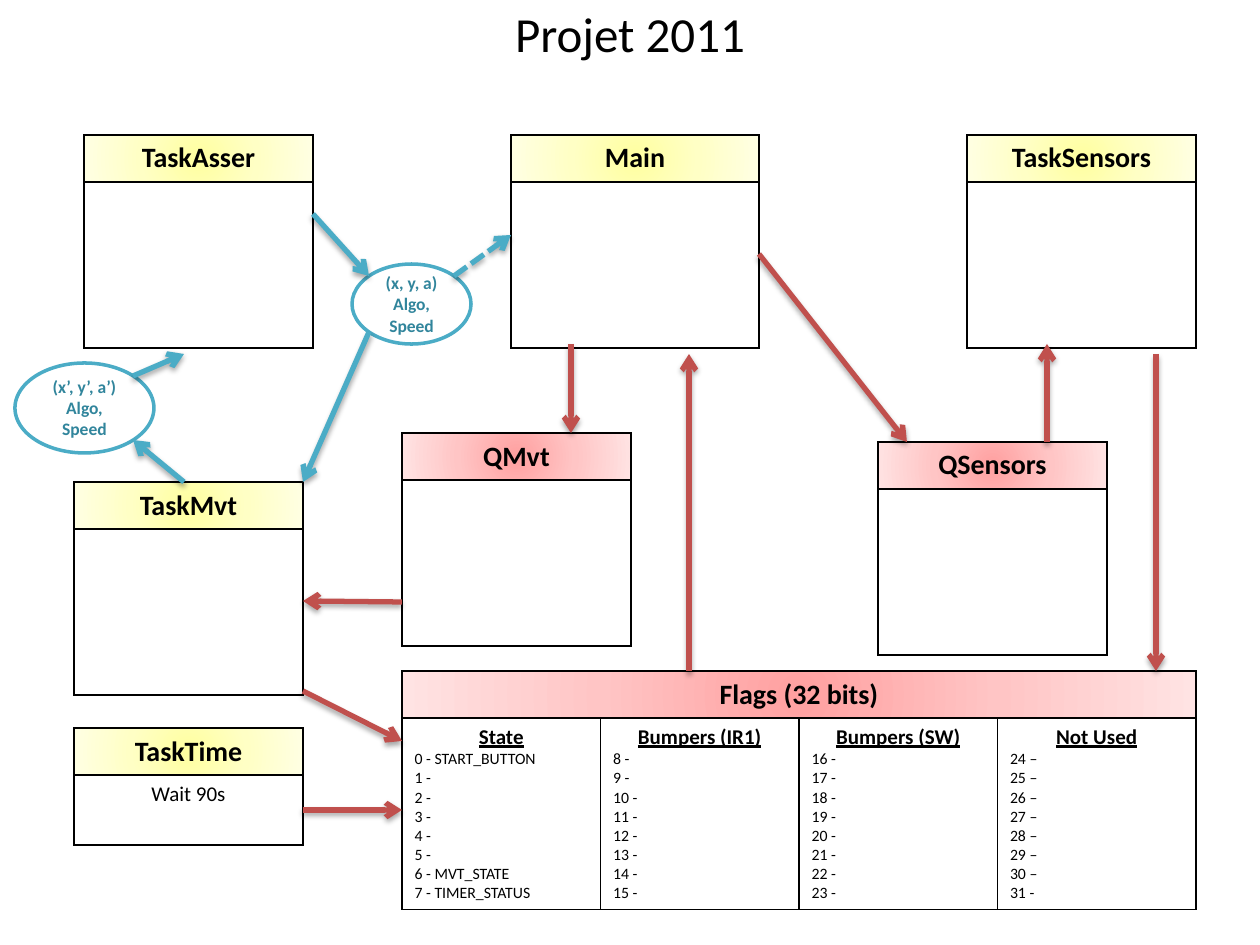
"""Build the Projet 2011 task, queue and flag diagram."""
from dataclasses import dataclass

from lxml import etree
from pptx import Presentation
from pptx.dml.color import RGBColor
from pptx.enum.dml import MSO_LINE
from pptx.enum.shapes import MSO_CONNECTOR, MSO_SHAPE
from pptx.enum.text import MSO_ANCHOR, PP_ALIGN
from pptx.oxml import parse_xml
from pptx.oxml.ns import qn
from pptx.util import Emu, Inches, Pt

EMU_PER_PX = 914400 / 126
NS = 'xmlns:a="http://schemas.openxmlformats.org/drawingml/2006/main"'
FONT = "Calibri"
BLACK, WHITE = "000000", "FFFFFF"
TEAL, DARK_TEAL, RED = "4BACC6", "31859C", "C0504D"
YELLOW_STOPS = ("FFFFA0", "FFFFC5", "FFFFE3")
RED_STOPS = ("FFA0A0", "FFC5C5", "FFE3E3")
HEADER_HEIGHT = 47


@dataclass
class Paragraph:
    text: str
    size: float
    bold: bool = False
    underline: bool = False
    align: PP_ALIGN = PP_ALIGN.CENTER
    color: str = BLACK


@dataclass
class Box:
    title: str
    left: int
    top: int
    stops: tuple[str, ...]
    width: int = 229
    body_height: int = 166
    columns: tuple[tuple[Paragraph, ...], ...] = ((),)


@dataclass
class Bubble:
    text: str
    left: int
    top: int
    width: int
    height: int


@dataclass
class Arrow:
    x1: int
    y1: int
    x2: int
    y2: int
    color: str = RED
    dashed: bool = False


def px(value: float) -> Emu:
    return Emu(round(value * EMU_PER_PX))


def rgb(value: str) -> RGBColor:
    return RGBColor.from_string(value)


def write(frame, paragraphs: tuple[Paragraph, ...]) -> None:
    for index, item in enumerate(paragraphs):
        paragraph = frame.paragraphs[0] if index == 0 else frame.add_paragraph()
        paragraph.text = item.text
        paragraph.alignment = item.align
        for run in paragraph.runs:
            font = run.font
            font.name, font.size = FONT, Pt(item.size)
            font.bold, font.underline = item.bold, item.underline
            font.color.rgb = rgb(item.color)


def add_borders(cell) -> None:
    properties = cell._tc.get_or_add_tcPr()
    for side in ("lnL", "lnR", "lnT", "lnB"):
        border = etree.SubElement(properties, qn(f"a:{side}"), w=str(Pt(1)))
        fill = etree.SubElement(border, qn("a:solidFill"))
        etree.SubElement(fill, qn("a:srgbClr"), val=BLACK)


def add_radial_fill(cell, stops: tuple[str, ...]) -> None:
    marks = "".join(
        f'<a:gs pos="{index * 50000}"><a:srgbClr val="{color}"/></a:gs>'
        for index, color in enumerate(stops))
    cell._tc.get_or_add_tcPr().append(parse_xml(
        f'<a:gradFill {NS} rotWithShape="1"><a:gsLst>{marks}</a:gsLst>'
        '<a:path path="circle"><a:fillToRect l="50000" t="50000" r="50000" b="50000"/>'
        '</a:path></a:gradFill>'))


def add_box(slide, box: Box) -> None:
    count = len(box.columns)
    table = slide.shapes.add_table(
        2, count, px(box.left), px(box.top), px(box.width),
        px(HEADER_HEIGHT + box.body_height)).table
    table.first_row = table.horz_banding = False
    table.rows[0].height = px(HEADER_HEIGHT)
    table.rows[1].height = px(box.body_height)
    for column in table.columns:
        column.width = px(box.width / count)
    for cell in table.iter_cells():
        add_borders(cell)
    header = table.cell(0, 0)
    if count > 1:
        header.merge(table.cell(0, count - 1))
    add_radial_fill(header, box.stops)
    write(header.text_frame, (Paragraph(box.title, 16, bold=True),))
    for index, paragraphs in enumerate(box.columns):
        cell = table.cell(1, index)
        cell.fill.solid()
        cell.fill.fore_color.rgb = rgb(WHITE)
        write(cell.text_frame, paragraphs)


def add_bubble(slide, bubble: Bubble) -> None:
    shape = slide.shapes.add_shape(
        MSO_SHAPE.OVAL, px(bubble.left), px(bubble.top),
        px(bubble.width), px(bubble.height))
    shape.shadow.inherit = False
    shape.fill.solid()
    shape.fill.fore_color.rgb = rgb(WHITE)
    shape.line.color.rgb = rgb(TEAL)
    shape.line.width = Pt(2)
    shape.text_frame.word_wrap = True
    shape.text_frame.vertical_anchor = MSO_ANCHOR.MIDDLE
    write(shape.text_frame, (Paragraph(bubble.text, 10, bold=True, color=DARK_TEAL),))


def add_arrow(slide, arrow: Arrow) -> None:
    connector = slide.shapes.add_connector(
        MSO_CONNECTOR.STRAIGHT, px(arrow.x1), px(arrow.y1), px(arrow.x2), px(arrow.y2))
    line = connector.line
    line.color.rgb = rgb(arrow.color)
    line.width = Pt(3)
    if arrow.dashed:
        line.dash_style = MSO_LINE.SQUARE_DOT
    etree.SubElement(line._get_or_add_ln(), qn("a:tailEnd"), type="arrow")
    connector._element.spPr.append(parse_xml(
        f'<a:effectLst {NS}><a:outerShdw blurRad="{Pt(3.1)}" dist="{Pt(1.8)}" '
        f'dir="5400000" rotWithShape="0"><a:srgbClr val="{BLACK}">'
        '<a:alpha val="35000"/></a:srgbClr></a:outerShdw></a:effectLst>'))


def flag_column(title: str, first: int, names: dict[int, str], dashes: str) -> tuple[Paragraph, ...]:
    rows = (f"{first + i} {dash} {names.get(first + i, '')}".rstrip()
            for i, dash in enumerate(dashes))
    return (Paragraph(title, 12, bold=True, underline=True),
            *(Paragraph(row, 9, align=PP_ALIGN.LEFT) for row in rows))


FLAG_NAMES = {0: "START_BUTTON", 6: "MVT_STATE", 7: "TIMER_STATUS"}
FLAG_GROUPS = (("State", "-" * 8), ("Bumpers (IR1)", "-" * 8),
               ("Bumpers (SW)", "-" * 8), ("Not Used", "–" * 7 + "-"))
FLAG_COLUMNS = tuple(flag_column(title, 8 * i, FLAG_NAMES, dashes)
                     for i, (title, dashes) in enumerate(FLAG_GROUPS))

BOXES = (
    Box("Main", 511, 135, YELLOW_STOPS, width=248),
    Box("TaskSensors", 967, 135, YELLOW_STOPS),
    Box("TaskAsser", 84, 135, YELLOW_STOPS),
    Box("TaskMvt", 74, 482, YELLOW_STOPS),
    Box("TaskTime", 74, 728, YELLOW_STOPS, body_height=70,
        columns=((Paragraph("Wait 90s", 12),),)),
    Box("QMvt", 402, 433, RED_STOPS),
    Box("QSensors", 878, 442, RED_STOPS),
    Box("Flags (32 bits)", 402, 671, RED_STOPS, width=794, body_height=191,
        columns=FLAG_COLUMNS),
)
BUBBLES = (Bubble("(x’, y’, a’)\vAlgo, Speed", 15, 363, 139, 90),
           Bubble("(x, y, a)\vAlgo, Speed", 352, 264, 119, 80))
ARROWS = (
    Arrow(303, 810, 402, 810), Arrow(303, 691, 402, 741),
    Arrow(689, 671, 689, 354), Arrow(571, 344, 571, 433),
    Arrow(759, 254, 907, 442), Arrow(1047, 442, 1047, 344),
    Arrow(1156, 354, 1156, 671), Arrow(402, 602, 303, 601),
    Arrow(313, 214, 369, 276, TEAL), Arrow(369, 332, 303, 482, TEAL),
    Arrow(454, 276, 511, 235, TEAL, dashed=True),
    Arrow(133, 376, 184, 354, TEAL), Arrow(184, 482, 133, 440, TEAL),
)


def main() -> None:
    deck = Presentation()
    deck.slide_width, deck.slide_height = Inches(10), Inches(7.5)
    slide = deck.slides.add_slide(deck.slide_layouts[0])
    subtitle = slide.placeholders[1]._element
    subtitle.getparent().remove(subtitle)
    title = slide.shapes.title
    title.left, title.top, title.width, title.height = px(0), px(0), px(1260), px(66)
    title.text_frame.vertical_anchor = MSO_ANCHOR.MIDDLE
    write(title.text_frame, (Paragraph("Projet 2011", 28),))
    for draw, items in ((add_box, BOXES), (add_bubble, BUBBLES), (add_arrow, ARROWS)):
        for item in items:
            draw(slide, item)
    deck.save("out.pptx")


main()
